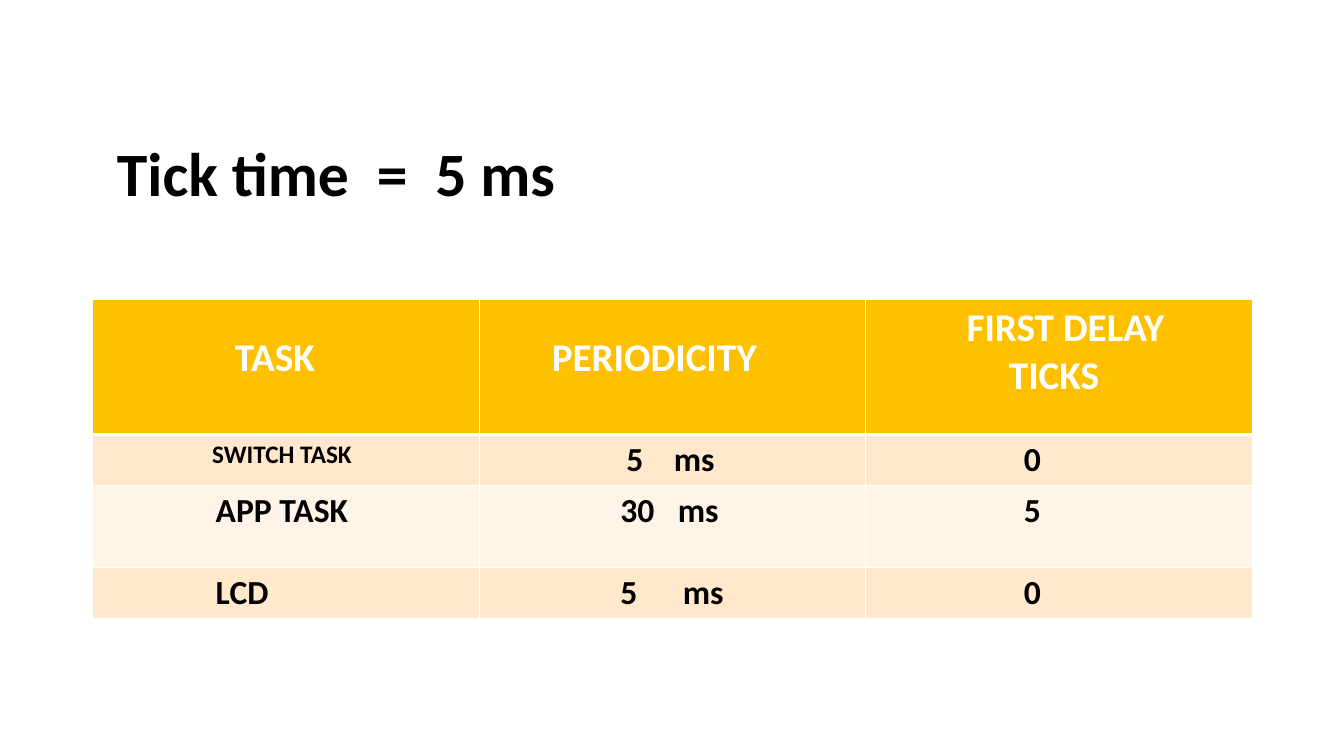
from dataclasses import dataclass
from lxml.etree import SubElement
from pptx import Presentation
from pptx.dml.color import RGBColor
from pptx.enum.text import MSO_ANCHOR, PP_ALIGN
from pptx.oxml import parse_xml
from pptx.oxml.ns import nsdecls, qn
from pptx.util import Inches, Pt


@dataclass(frozen=True)
class Theme:
    font: str = "Calibri"
    ink: str = "000000"
    white: str = "FFFFFF"
    gold: str = "FFC000"
    bands: tuple = ("FFE8CC", "FFF4E7")
    title: int = 44
    head: int = 28
    body: int = 24
    small: int = 18


THEME = Theme()
LEFT, WIDTH = 0.92, 11.5
HEIGHTS = (1.34, 0.51, 0.81, 0.51)

# Header: text, left inset, top inset
HEADS = (
    ("TASK", 1.41, 0.35),
    ("PERIODICITY", 0.72, 0.35),
    ("FIRST DELAY\nTICKS", 1.0, 0.05),
)
TICKS_INDENT = 0.42

# Task, period, tab stop before the unit, period inset, first delay
TASKS = (
    ("SWITCH TASK", "5\tms", 0.47, 1.46, "0"),
    ("APP TASK", "30\tms", 0.57, 1.4, "5"),
    ("LCD", "5\tms", 0.62, 1.4, "0"),
)
TASK_INSET, DELAY_INSET = 1.22, 1.57


def style(frame, size, color):
    for para in frame.paragraphs:
        for run in para.runs:
            font = run.font
            font.name, font.size, font.bold = THEME.font, Pt(size), True
            font.color.rgb = RGBColor.from_string(color)


def add_title(slide):
    title = slide.shapes.title
    title.left, title.top = Inches(LEFT), Inches(1.03)
    title.width, title.height = Inches(WIDTH), Inches(1.45)
    frame = title.text_frame
    frame.text = "Tick time  =  5 ms"
    frame.margin_left = Inches(0.24)
    frame.vertical_anchor = MSO_ANCHOR.MIDDLE
    para = frame.paragraphs[0]
    para.alignment, para.line_spacing = PP_ALIGN.LEFT, 0.9
    style(frame, THEME.title, THEME.ink)


def set_edges(cell, base):
    props = cell._tc.get_or_add_tcPr()
    for spot, side in enumerate("LRTB"):
        width = Pt(base if side == "B" else 1)
        props.insert(spot, parse_xml(
            f'<a:ln{side} {nsdecls("a")} w="{width}"><a:solidFill>'
            f'<a:srgbClr val="{THEME.white}"/></a:solidFill></a:ln{side}>'))


def set_cell(cell, text, inset, size, color, fill, top=0.05, base=1):
    cell.text = text
    cell.margin_left, cell.margin_top = Inches(inset), Inches(top)
    cell.fill.solid()
    cell.fill.fore_color.rgb = RGBColor.from_string(fill)
    set_edges(cell, base)
    style(cell.text_frame, size, color)


def set_tab(cell, stop):
    props = cell.text_frame.paragraphs[0]._p.get_or_add_pPr()
    tabs = SubElement(props, qn("a:tabLst"))
    SubElement(tabs, qn("a:tab"), pos=str(Inches(stop)), algn="l")


def add_table(slide):
    table = slide.shapes.add_table(
        len(HEIGHTS), len(HEADS), Inches(LEFT), Inches(2.97),
        Inches(WIDTH), Inches(sum(HEIGHTS))).table
    for row, height in zip(table.rows, HEIGHTS):
        row.height = Inches(height)

    # Header row
    for col, (text, inset, top) in enumerate(HEADS):
        set_cell(table.cell(0, col), text, inset, THEME.head,
                 THEME.white, THEME.gold, top, 3)
    ticks = table.cell(0, 2).text_frame.paragraphs[1]
    ticks._p.get_or_add_pPr().set("marL", str(Inches(TICKS_INDENT)))

    # Task rows
    for row, (task, period, stop, inset, delay) in enumerate(TASKS, 1):
        fill = THEME.bands[(row - 1) % 2]
        parts = ((task, TASK_INSET), (period, inset), (delay, DELAY_INSET))
        for col, (text, left) in enumerate(parts):
            set_cell(table.cell(row, col), text, left, THEME.body,
                     THEME.ink, fill)
        set_tab(table.cell(row, 1), stop)

    # The first task is smaller and centred
    switch = table.cell(1, 0)
    switch.margin_left, switch.margin_right = Inches(0.1), Inches(0.18)
    switch.text_frame.paragraphs[0].alignment = PP_ALIGN.CENTER
    style(switch.text_frame, THEME.small, THEME.ink)


def main():
    deck = Presentation()
    deck.slide_width, deck.slide_height = Inches(13.33), Inches(7.5)
    slide = deck.slides.add_slide(deck.slide_layouts[5])
    add_title(slide)
    add_table(slide)
    deck.save("out.pptx")


main()
